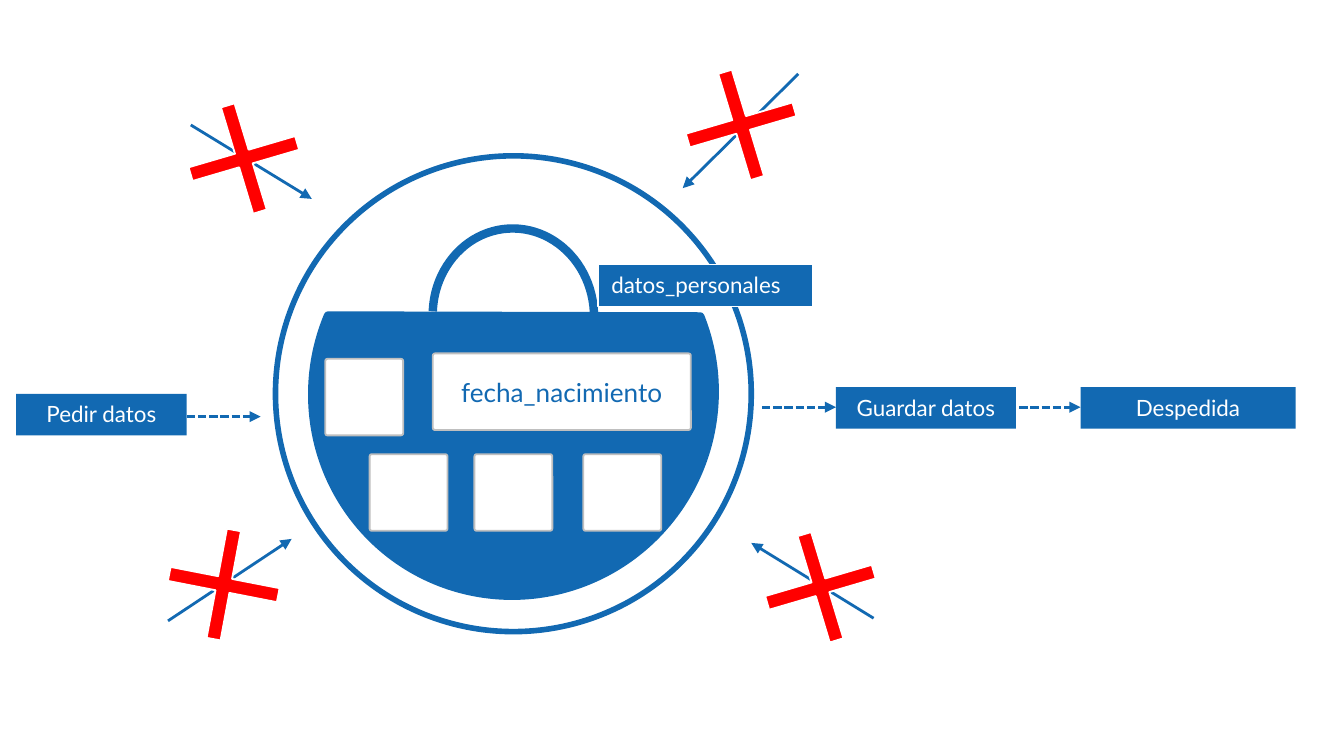
"""Builds a slide showing a padlocked class that shields its data from direct access."""
from dataclasses import dataclass

from lxml import etree
from pptx import Presentation
from pptx import util as u
from pptx.dml.color import RGBColor
from pptx.enum import dml, shapes, text
from pptx.oxml.ns import qn

SHAPE = shapes.MSO_SHAPE


@dataclass(frozen=True)
class Theme:
    blue: str = "1269B2"
    white: str = "FFFFFF"
    grey: str = "BFBFBF"
    red: str = "FF0000"
    font: str = "Lato"
    label_size: int = 12
    field_size: int = 14


THEME = Theme()


def add_figure(s, kind, box, fill=None, line=None, width=1, rotation=0, adjust=()):
    sp = s.shapes.add_shape(kind, *map(u.Inches, box))
    sp.shadow.inherit = False
    sp.rotation = rotation
    for i, value in enumerate(adjust):
        sp.adjustments[i] = value
    for paint, color in ((sp.fill, fill), (sp.line.fill, line)):
        if color:
            paint.solid()
            paint.fore_color.rgb = RGBColor.from_string(color)
        else:
            paint.background()
    if line:
        sp.line.width = u.Pt(width)
    return sp


def write(sp, words, size, color, align=text.PP_ALIGN.CENTER, anchor=text.MSO_ANCHOR.TOP):
    tf = sp.text_frame
    tf.word_wrap = True
    tf.vertical_anchor = anchor
    p = tf.paragraphs[0]
    p.alignment = align
    r = p.add_run()
    r.text = words
    r.font.name = THEME.font
    r.font.size = u.Pt(size)
    r.font.color.rgb = RGBColor.from_string(color)


def add_label(s, words, left, top, width, line=None, align=text.PP_ALIGN.CENTER):
    sp = add_figure(s, SHAPE.RECTANGLE, (left, top, width, 0.31), THEME.blue, line, 0.75)
    write(sp, words, THEME.label_size, THEME.white, align)
    sp.text_frame.auto_size = text.MSO_AUTO_SIZE.SHAPE_TO_FIT_TEXT


def add_field(s, left, top, width=0.58):
    return add_figure(s, SHAPE.ROUNDED_RECTANGLE, (left, top, width, 0.57),
                      THEME.white, THEME.grey, adjust=(0.03,))


def add_arrow(s, start, end, dashed=False):
    sp = s.shapes.add_connector(shapes.MSO_CONNECTOR.STRAIGHT,
                                *map(u.Inches, (*start, *end)))
    sp.line.width = u.Pt(1.5)
    sp.line.color.rgb = RGBColor.from_string(THEME.blue)
    if dashed:
        sp.line.dash_style = dml.MSO_LINE.SQUARE_DOT
        sp.line._ln.find(qn("a:prstDash")).set("val", "sysDash")
    etree.SubElement(sp.line._ln, qn("a:tailEnd"), type="triangle")
    etree.SubElement(sp._element.spPr, qn("a:effectLst"))


def add_cross(s, left, top, rotation=28.4):
    add_figure(s, SHAPE.MATH_MULTIPLY, (left, top, 1.13, 1.12), THEME.red,
               THEME.white, rotation=rotation, adjust=(0.095,))


def add_padlock(s):
    add_figure(s, SHAPE.OVAL, (2.05, 1.16, 3.54, 3.54), line=THEME.blue, width=3)
    add_figure(s, SHAPE.CHORD, (2.31, 1.43, 3.02, 2.99), THEME.blue, THEME.blue, 4.5, 292.7)
    add_figure(s, SHAPE.ARC, (3.22, 1.7, 1.2, 1.3), line=THEME.blue, width=4.5,
               rotation=356.8, adjust=(111.82, 0.55))


def main():
    prs = Presentation()
    prs.slide_width = u.Inches(10)
    prs.slide_height = prs.slide_width * 9 // 16
    s = prs.slides.add_slide(prs.slide_layouts[6])

    add_padlock(s)
    add_field(s, 2.42, 2.67)
    add_label(s, "datos_personales", 4.45, 1.97, 1.6, THEME.white, text.PP_ALIGN.LEFT)
    write(add_field(s, 3.22, 2.63, 1.92), "fecha_nacimiento", THEME.field_size,
          THEME.blue, anchor=text.MSO_ANCHOR.MIDDLE)
    for left in (2.75, 3.53, 4.34):
        add_field(s, left, 3.38)

    for step in (("Pedir datos", 0.12, 2.93, 1.27),
                 ("Guardar datos", 6.22, 2.88, 1.34),
                 ("Despedida", 8.04, 2.88, 1.6)):
        add_label(s, *step)
    for left, right, y in ((1.39, 1.94, 3.1), (7.5, 8.04, 3.03), (5.67, 6.22, 3.03)):
        add_arrow(s, (left, y), (right, y), dashed=True)

    for start, end in (((5.94, 0.55), (5.08, 1.4)), ((1.42, 0.93), (2.32, 1.48)),
                       ((6.5, 4.6), (5.59, 4.04)), ((1.25, 4.62), (2.17, 4.01))):
        add_arrow(s, start, end)
    for cross in ((4.95, 0.37), (1.25, 0.62), (5.54, 3.81), (1.1, 3.79, 55.8)):
        add_cross(s, *cross)

    prs.save("out.pptx")


if __name__ == "__main__":
    main()
